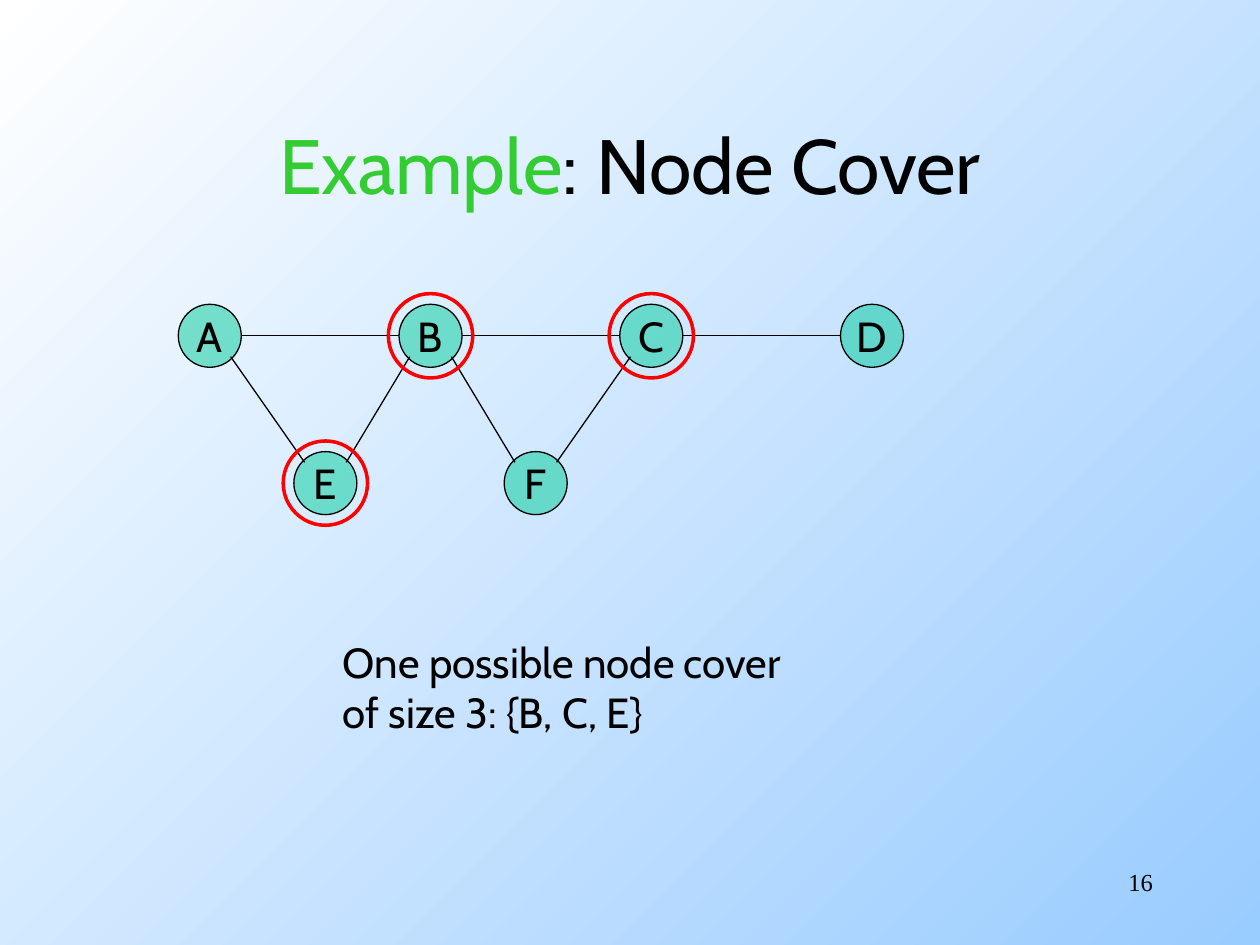
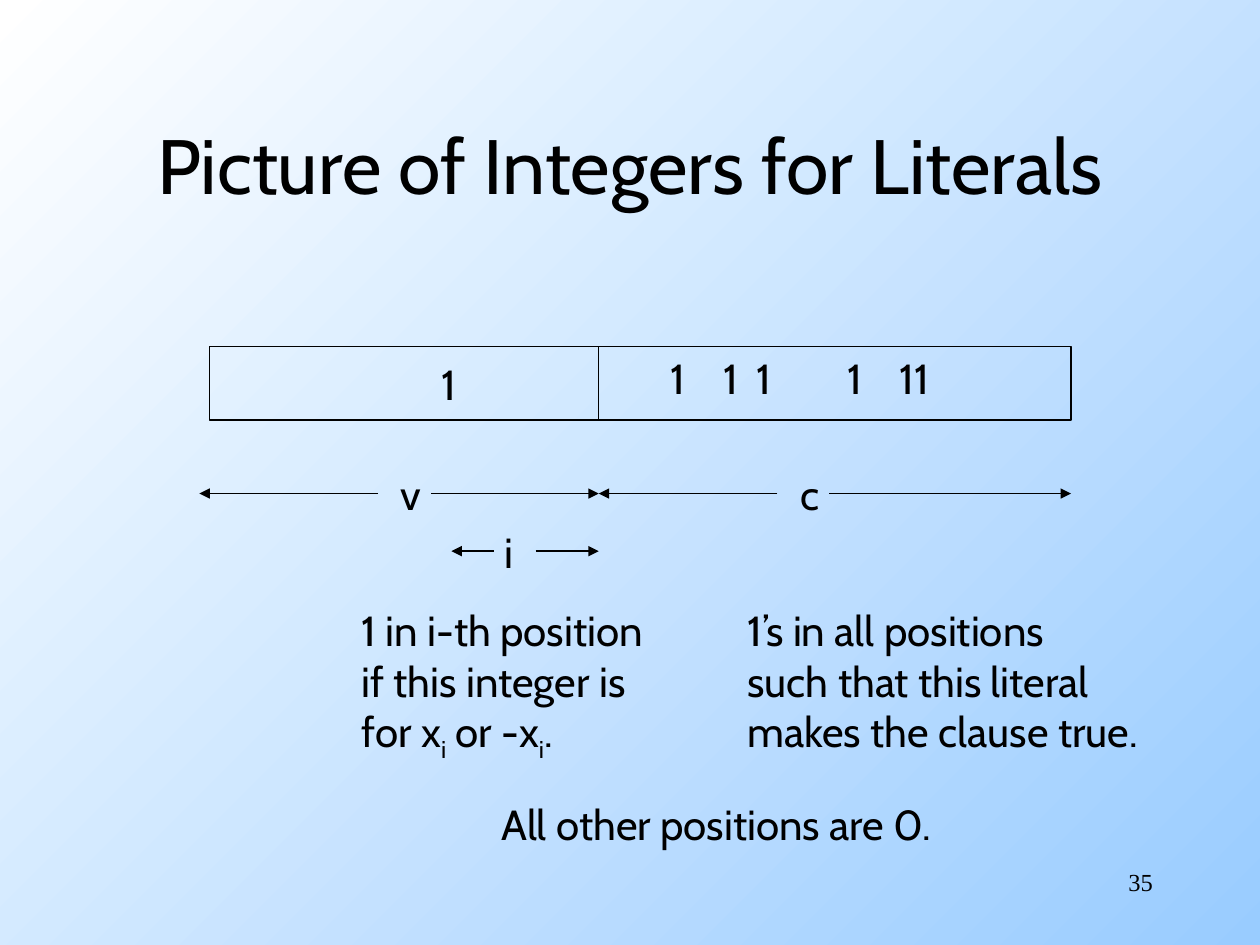
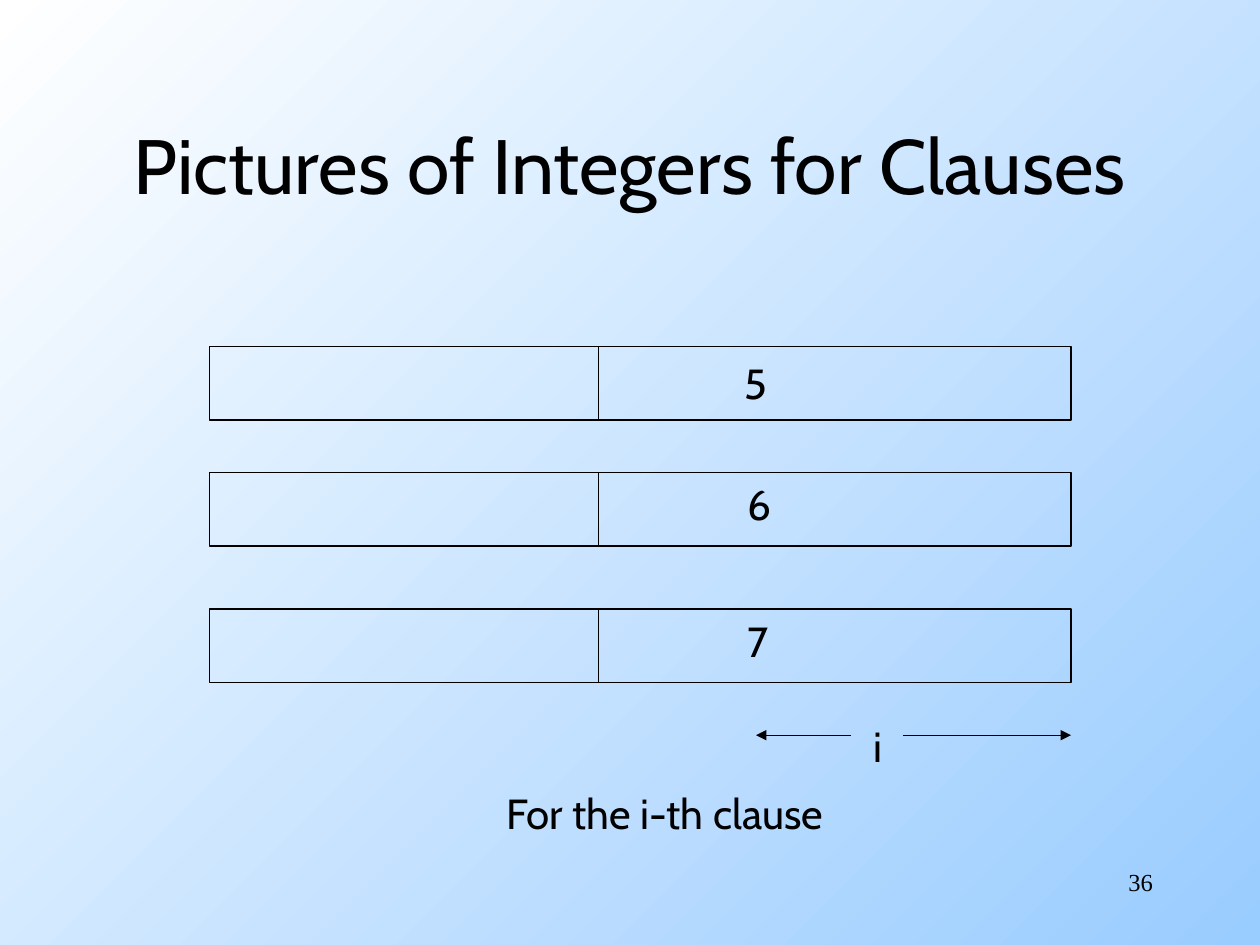
"""Build three slides on node covers and on integers for literals and clauses."""
from dataclasses import dataclass

from lxml import etree
from pptx import Presentation
from pptx.dml.color import RGBColor
from pptx.enum.shapes import MSO_CONNECTOR, MSO_SHAPE
from pptx.enum.text import MSO_ANCHOR, MSO_AUTO_SIZE, PP_ALIGN
from pptx.oxml.ns import qn
from pptx.util import Cm, Pt

STRAIGHT = MSO_CONNECTOR.STRAIGHT
ELLIPSE, RECTANGLE = MSO_SHAPE.OVAL, MSO_SHAPE.RECTANGLE
MIDDLE = MSO_ANCHOR.MIDDLE
NO_FIT, GROW = MSO_AUTO_SIZE.NONE, MSO_AUTO_SIZE.SHAPE_TO_FIT_TEXT
LEFT, CENTER, RIGHT = PP_ALIGN.LEFT, PP_ALIGN.CENTER, PP_ALIGN.RIGHT


@dataclass(frozen=True)
class Theme:
    """Colours, fonts and sizes shared by all slides."""

    ink: RGBColor = RGBColor(0, 0, 0)
    accent: RGBColor = RGBColor(0x33, 0xCC, 0x33)
    node: RGBColor = RGBColor(0x00, 0xCC, 0x99)
    ring: RGBColor = RGBColor(0xFF, 0, 0)
    sky_start: RGBColor = RGBColor(0xFF, 0xFF, 0xFF)
    sky_end: RGBColor = RGBColor(0x99, 0xCC, 0xFF)
    face: str = "Cabin"
    number_face: str = "Times New Roman"
    title_size: int = 44
    text_size: int = 24
    number_size: int = 14
    thin: float = 0.75
    thick: float = 2


THEME = Theme()

NODE_SIZE, RING_SIZE = 1.27, 1.7
DIAGONAL_INSET = 0.42
UPPER_ROW, LOWER_ROW = 6.77, 9.74
NODES = {name: (4.23 + 4.45 * column, UPPER_ROW) for column, name in enumerate("ABCD")}
NODES |= {"E": (6.56, LOWER_ROW), "F": (10.8, LOWER_ROW)}
EDGES = ("AB", "BC", "CD", "AE", "BE", "BF", "CF")
COVER = "BCE"

BAR_LEFT, BAR_SPLIT, BAR_RIGHT, BAR_HEIGHT = 4.23, 12.07, 21.59, 1.48
FIRST_BAR_TOP = 6.99


def set_font(paragraph, size, face=THEME.face, align=LEFT):
    """Give a paragraph its alignment, typeface, size and ink."""
    paragraph.alignment = align
    paragraph.font.name = face
    paragraph.font.size = Pt(size)
    paragraph.font.color.rgb = THEME.ink


def paint_background(master):
    """Lay the diagonal gradient behind every slide."""
    fill = master.background.fill
    fill.gradient()
    fill.gradient_angle = 315
    for stop, colour in zip(fill.gradient_stops, (THEME.sky_start, THEME.sky_end)):
        stop.color.rgb = colour


def add_text(slide, left, top, width, *lines, height=1.27, tabs=()):
    """Add lines of text; in a tuple every second part is a subscript."""
    box = slide.shapes.add_textbox(Cm(left), Cm(top), Cm(width), Cm(height))
    frame = box.text_frame
    frame.word_wrap = False
    frame.auto_size = GROW
    for index, line in enumerate(lines):
        paragraph = frame.add_paragraph() if index else frame.paragraphs[0]
        if tabs:
            tab_list = etree.SubElement(paragraph._p.get_or_add_pPr(), qn("a:tabLst"))
            for stop in tabs:
                etree.SubElement(tab_list, qn("a:tab"), pos=str(Cm(stop)), algn="l")
        set_font(paragraph, THEME.text_size)
        for part, words in enumerate((line,) if isinstance(line, str) else line):
            run = paragraph.add_run()
            run.text = words
            if part % 2:
                run._r.get_or_add_rPr().set("baseline", "-25000")


def add_slide(deck, number, heading, highlight="", left=0, width=25.4):
    """Add a slide with its number and a title that may open in the accent colour."""
    slide = deck.slides.add_slide(deck.slide_layouts[5])
    title = slide.shapes.title
    title.left, title.top, title.width, title.height = Cm(left), Cm(1.7), Cm(width), Cm(3.18)
    frame = title.text_frame
    frame.auto_size = NO_FIT
    frame.vertical_anchor = MIDDLE
    paragraph = frame.paragraphs[0]
    set_font(paragraph, THEME.title_size, align=CENTER)
    if highlight:
        opening = paragraph.add_run()
        opening.text = highlight
        opening.font.color.rgb = THEME.accent
    paragraph.add_run().text = heading

    page = slide.shapes.add_textbox(Cm(18.2), Cm(17.36), Cm(5.29), Cm(1.27)).text_frame
    page.word_wrap = True
    page.text = str(number)
    set_font(page.paragraphs[0], THEME.number_size, THEME.number_face, RIGHT)
    return slide


def add_outline(slide, kind, left, top, width, height, colour=THEME.ink, weight=THEME.thin):
    """Add an unfilled, unshadowed shape."""
    shape = slide.shapes.add_shape(kind, Cm(left), Cm(top), Cm(width), Cm(height))
    shape.shadow.inherit = False
    shape.fill.background()
    shape.line.color.rgb = colour
    shape.line.width = Pt(weight)
    return shape


def add_circle(slide, center, size, **outline):
    """Add a circle around a center point."""
    x, y = center
    return add_outline(slide, ELLIPSE, x - size / 2, y - size / 2, size, size, **outline)


def add_line(slide, start, end, arrow=False):
    """Draw a thin line, with an arrowhead at its end if wanted."""
    connector = slide.shapes.add_connector(STRAIGHT, *map(Cm, (*start, *end)))
    connector.line.color.rgb = THEME.ink
    connector.line.width = Pt(THEME.thin)
    properties = connector._element.spPr
    if arrow:
        etree.SubElement(properties.find(qn("a:ln")), qn("a:tailEnd"), type="triangle")
    etree.SubElement(properties, qn("a:effectLst"))


def add_node(slide, name):
    """Draw a half-transparent lettered graph node."""
    node = add_circle(slide, NODES[name], NODE_SIZE)
    node.fill.solid()
    node.fill.fore_color.rgb = THEME.node
    colour = node._element.spPr.find(qn("a:solidFill"))[0]
    etree.SubElement(colour, qn("a:alpha"), val="50000")
    frame = node.text_frame
    frame.word_wrap = False
    frame.vertical_anchor = MIDDLE
    frame.text = name
    set_font(frame.paragraphs[0], THEME.text_size, align=CENTER)


def add_edge(slide, first, second):
    """Join the rims of two graph nodes."""
    (x1, y1), (x2, y2) = NODES[first], NODES[second]
    inset_x, inset_y = (NODE_SIZE / 2, 0) if y1 == y2 else (DIAGONAL_INSET, DIAGONAL_INSET)
    if x2 < x1:
        inset_x = -inset_x
    add_line(slide, (x1 + inset_x, y1 + inset_y), (x2 - inset_x, y2 - inset_y))


def add_integer_bar(slide, top):
    """Draw an integer as a bar split into variable and clause positions."""
    add_outline(slide, RECTANGLE, BAR_LEFT, top, BAR_RIGHT - BAR_LEFT, BAR_HEIGHT)
    add_line(slide, (BAR_SPLIT, top), (BAR_SPLIT, top + BAR_HEIGHT))


def add_span(slide, y, left, gap_start, gap_end, right):
    """Draw two arrows pointing outward from a gap for a label."""
    add_line(slide, (gap_start, y), (left, y), arrow=True)
    add_line(slide, (gap_end, y), (right, y), arrow=True)


def build_node_cover(deck):
    """Show a graph with one node cover ringed."""
    slide = add_slide(deck, 16, ": Node Cover", highlight="Example", left=1.9, width=21.6)
    for name in NODES:
        add_node(slide, name)
    for first, second in EDGES:
        add_edge(slide, first, second)
    add_text(slide, 6.66, 12.7, 10.31, "One possible node cover", "of size 3: {B, C, E}", height=2.29)
    for name in COVER:
        add_circle(slide, NODES[name], RING_SIZE, colour=THEME.ring, weight=THEME.thick)


def build_literals(deck):
    """Show where the integer for a literal has its ones."""
    slide = add_slide(deck, 35, "Picture of Integers for Literals")
    add_integer_bar(slide, FIRST_BAR_TOP)
    add_text(slide, 8.66, 7.11, 0.99, "1")
    add_text(slide, 13.26, 6.99, 7.37, "1\t1\t1\t1\t11", tabs=(1.07, 1.75, 3.57, 4.62))

    add_span(slide, 9.95, 4.02, 7.62, 8.69, BAR_SPLIT)
    add_text(slide, 7.83, 9.31, 0.94, "v")
    add_span(slide, 9.95, BAR_SPLIT, 15.67, 16.72, BAR_RIGHT)
    add_text(slide, 15.88, 9.31, 0.91, "c")
    add_span(slide, 11.11, 9.1, 9.95, 10.8, BAR_SPLIT)
    add_text(slide, 9.93, 10.49, 0.71, "i")

    add_text(slide, 7.04, 12.07, 6.93, "1 in i-th position", "if this integer is",
             ("for x", "i", " or -x", "i", "."), height=3.45)
    add_text(slide, 14.82, 12.07, 9.45, "1’s in all positions", "such that this literal",
             "makes the clause true.", height=3.3)
    add_text(slide, 9.86, 15.98, 10.16, "All other positions are 0.")


def build_clauses(deck):
    """Show the three integers for one clause."""
    slide = add_slide(deck, 36, "Pictures of Integers for Clauses")
    digits = (("5", FIRST_BAR_TOP, 14.76, 7.09), ("6", 9.53, 14.82, 9.53), ("7", 12.28, 14.82, 12.28))
    for digit, bar_top, digit_left, digit_top in digits:
        add_integer_bar(slide, bar_top)
        add_text(slide, digit_left, digit_top, 0.99, digit)
    add_span(slide, 14.82, 15.24, 17.15, 18.2, BAR_RIGHT)
    add_text(slide, 17.36, 14.39, 0.71, "i")
    add_text(slide, 9.96, 15.75, 7.59, "For the i-th clause")


def main():
    """Build and save the deck."""
    deck = Presentation()
    deck.slide_width, deck.slide_height = Cm(25.4), Cm(19.05)
    paint_background(deck.slide_master)
    build_node_cover(deck)
    build_literals(deck)
    build_clauses(deck)
    deck.save("out.pptx")


if __name__ == "__main__":
    main()
